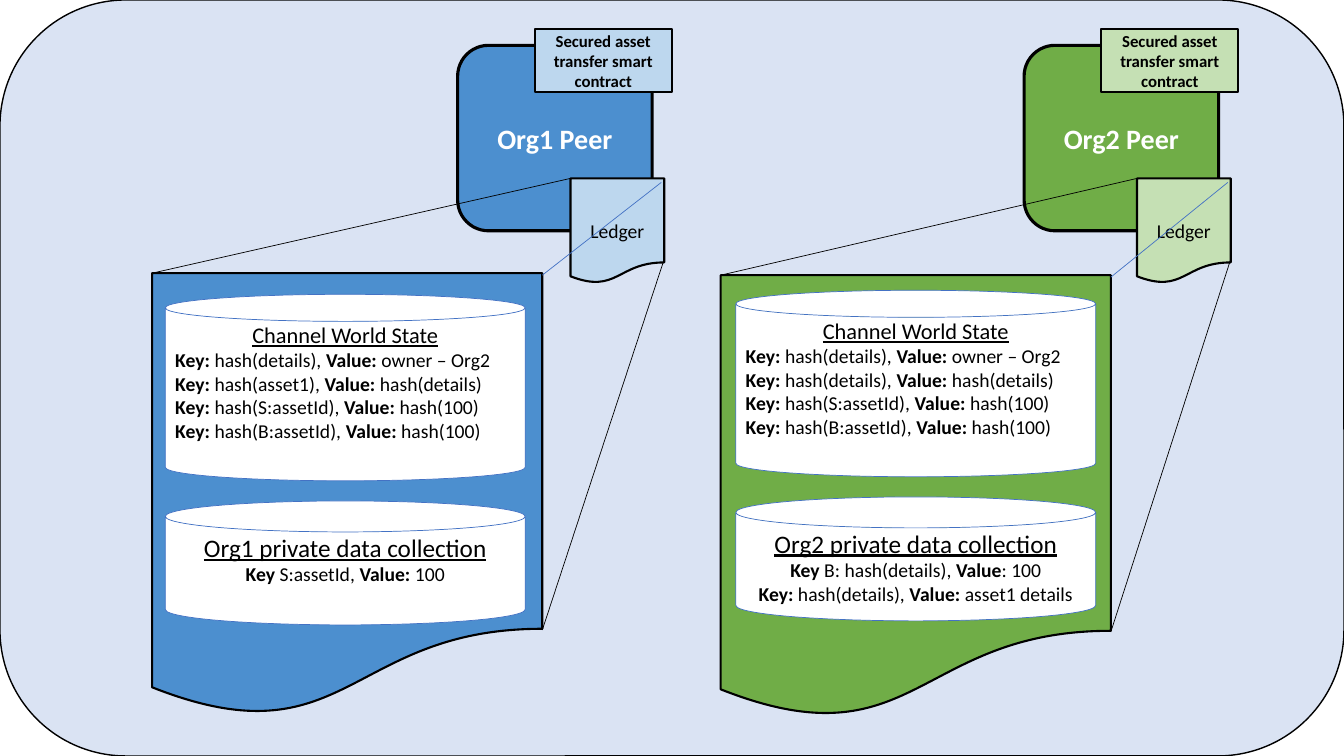
from lxml import etree
from pptx import Presentation
from pptx.dml.color import RGBColor as RGB
from pptx.enum.shapes import MSO_CONNECTOR as CONN, MSO_SHAPE as SHAPE
from pptx.enum.text import MSO_ANCHOR as ANCHOR, PP_ALIGN as ALIGN
from pptx.oxml.ns import qn
from pptx.util import Inches, Pt

COLS, ROWS = 133.33, 75  # grid of 0.1 inch cells
CELL = Inches(0.1)
C = {
    "back": "DAE3F3", "black": "000000", "white": "FFFFFF", "edge": "4472C4",
    "blue": "4C8FCF", "pale blue": "BDD7EE",
    "green": "70AD47", "pale green": "C5E0B4",
}

prs = Presentation()
prs.slide_width, prs.slide_height = int(COLS * CELL), ROWS * CELL
s = prs.slides.add_slide(prs.slide_layouts[6])


def add_box(kind, col, row, cols, rows, fill, weight, edge="black"):
    sp = s.shapes.add_shape(kind, *(int(n * CELL) for n in (col, row, cols, rows)))
    sp.shadow.inherit = False
    sp.fill.solid()
    sp.fill.fore_color.rgb = RGB.from_string(C[fill])
    sp.line.color.rgb = RGB.from_string(C[edge])
    sp.line.width = Pt(weight)
    return sp


def write(sp, lines, anchor=ANCHOR.MIDDLE, top=0):
    """Each line is (text, size, align, bold, underline, colour); "|" toggles bold."""
    tf = sp.text_frame
    tf.word_wrap = True
    tf.vertical_anchor = anchor
    tf.margin_top, tf.margin_bottom = int(top * CELL), 0
    for i, (text, size, align, bold, underline, color) in enumerate(lines):
        p = tf.paragraphs[0] if i == 0 else tf.add_paragraph()
        p.alignment = align
        p.font.name, p.font.size = "Calibri", Pt(size)
        p.font.underline = underline
        p.font.color.rgb = RGB.from_string(C[color])
        for j, part in enumerate(text.split("|")):
            r = p.add_run()
            r.text = part
            r.font.name, r.font.size = "Calibri", Pt(size)
            r.font.bold = bold == (j % 2 == 0)
            r.font.underline = underline
            r.font.color.rgb = RGB.from_string(C[color])


# Channel background
add_box(SHAPE.ROUNDED_RECTANGLE, 0, 0, COLS, ROWS, "back", 1)

# Per organisation: name, colour, peer column, panel corner, cylinder corner,
# second world state key, private data lines
orgs = [
    ("Org1", "blue", 45.4, (15.1, 27.1), (16.4, 29.2), "asset1",
     ["Key |S:assetId, |Value:| 100"]),
    ("Org2", "green", 101.6, (71.5, 27.3), (73, 28.8), "details",
     ["Key| B: hash(details), |Value|: 100",
      "Key:| hash(details), |Value: |asset1 details"]),
]
PANEL_W, LEDGER_W, LEDGER_ROW = 38.7, 9.3, 17.7

for name, color, peer, (left, top), (can_col, can_row), key, private in orgs:
    pale = "pale " + color
    ledger = peer + 11.2
    ledger_end, right = ledger + LEDGER_W, left + PANEL_W

    # Panel, peer and ledger
    add_box(SHAPE.FLOWCHART_DOCUMENT, left, top, PANEL_W, 44, color, 1.5)
    sp = add_box(SHAPE.ROUNDED_RECTANGLE, peer, 4.5, 19.3, 18.4, color, 2.25)
    write(sp, [(name + " Peer", 20, ALIGN.CENTER, True, False, "white")])
    sp = add_box(SHAPE.FLOWCHART_DOCUMENT, ledger, LEDGER_ROW, LEDGER_W, 10.4, pale, 1.5)
    write(sp, [("Ledger", 14, ALIGN.CENTER, False, False, "black")], top=2)

    # Zoom lines from the ledger to the panel
    for x1, y1, x2, y2, edge in [
        (ledger, LEDGER_ROW, left, top, "black"),
        (ledger_end - 0.3, LEDGER_ROW + 0.4, right, top + 0.2, "edge"),
        (ledger_end, LEDGER_ROW + 8, right, top + 35.4, "black"),
    ]:
        cn = s.shapes.add_connector(CONN.STRAIGHT, *(int(n * CELL) for n in (x1, y1, x2, y2)))
        cn.line.color.rgb = RGB.from_string(C[edge])
        cn.line.width = Pt(0.5)
        etree.SubElement(cn._element.spPr, qn("a:effectLst"))

    # Smart contract
    sp = add_box(SHAPE.RECTANGLE, peer + 7.65, 2.9, 13.6, 6.2, pale, 1.5)
    write(sp, [("Secured asset transfer smart contract", 12, ALIGN.CENTER, True, False, "black")])

    # World state and private data cylinders
    pairs = [("details", "owner – Org2"), (key, "hash(details)"),
             ("S:assetId", "hash(100)"), ("B:assetId", "hash(100)")]
    state = [f"Key: |hash({k}), |Value: |{value}" for k, value in pairs]
    for title, size, lines, align, row, rows, adj in [
        ("Channel World State", 16, state, ALIGN.LEFT, can_row, 18.5, 0.145),
        (name + " private data collection", 18, private, ALIGN.CENTER, can_row + 20.5, 12.3, 0.25),
    ]:
        sp = add_box(SHAPE.CAN, can_col, row, 35.7, rows, "white", 0.5, "edge")
        sp.adjustments[0] = adj
        write(sp, [(title, size, ALIGN.CENTER, False, True, "black")]
              + [(line, 14, align, True, False, "black") for line in lines], ANCHOR.TOP)

prs.save("out.pptx")
